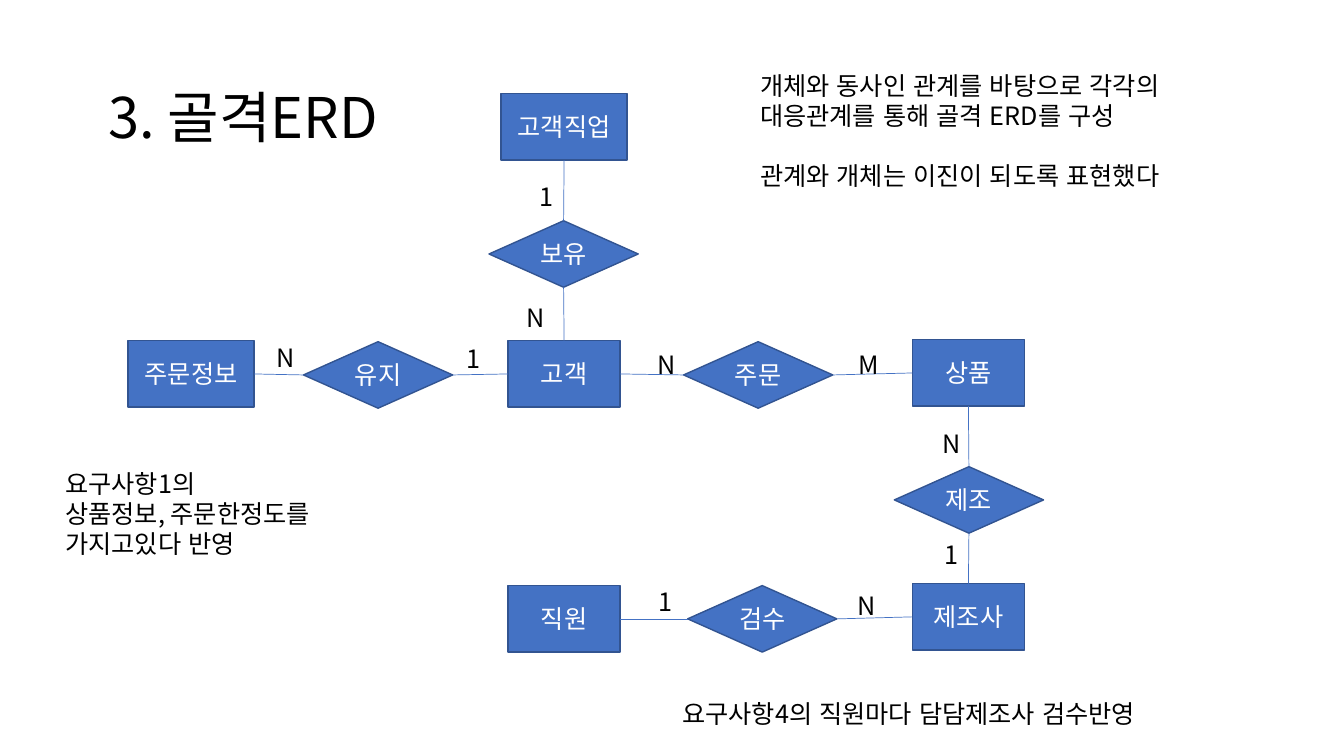
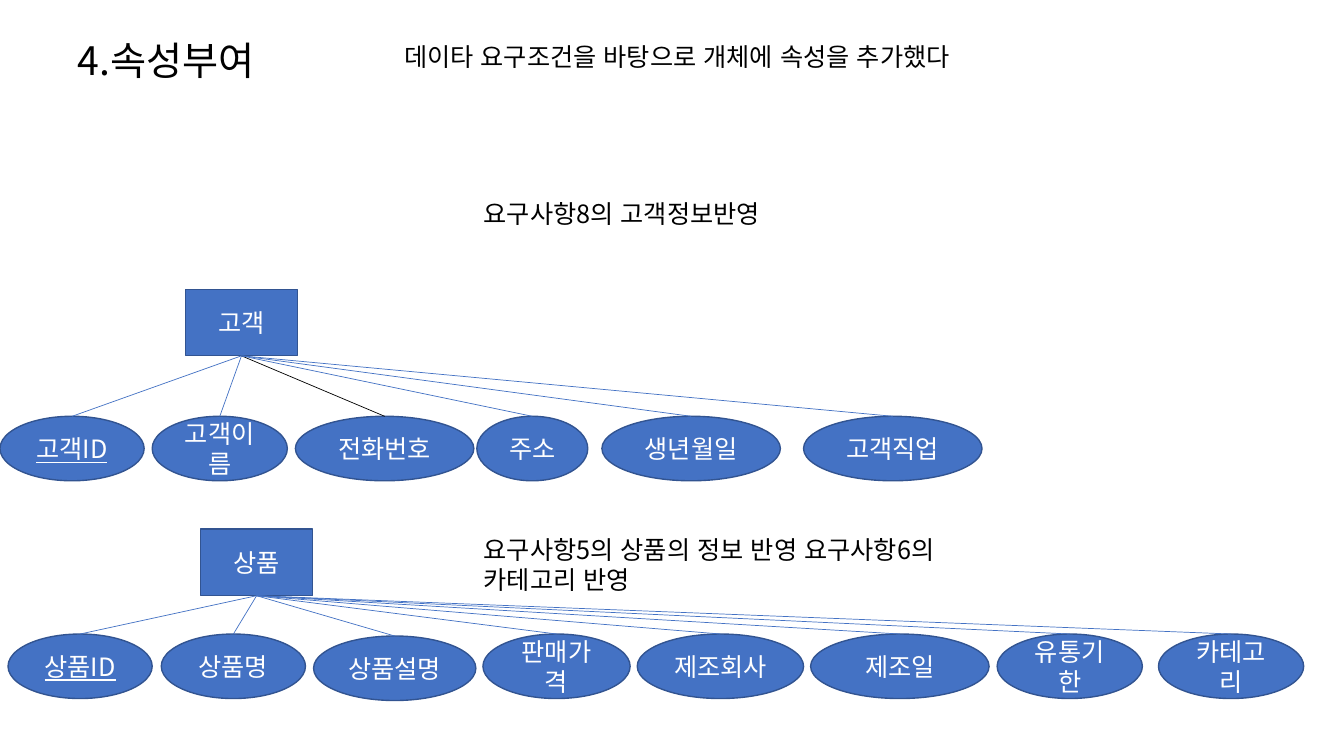
from dataclasses import dataclass
from typing import NamedTuple

from lxml.etree import SubElement
from pptx import Presentation
from pptx.dml.color import RGBColor
from pptx.enum.lang import MSO_LANGUAGE_ID
from pptx.enum.shapes import MSO_CONNECTOR, MSO_SHAPE
from pptx.enum.text import MSO_ANCHOR, PP_ALIGN
from pptx.oxml.ns import qn
from pptx.shapes.autoshape import Shape
from pptx.slide import Slide
from pptx.text.text import TextFrame
from pptx.util import Inches, Pt

# Shared look
COLORS = {"fill": "4472C4", "outline": "325491", "link": "4472C4",
          "black": "000000", "white": "FFFFFF"}
FONT = "Noto Sans CJK KR"
BODY_SIZE = 18
LINE_RATIO = 1.19
TITLE_RATIO = LINE_RATIO * 0.9
NODE_HEIGHT = 0.66
ELLIPSE_HEIGHT = 0.64
ENTITY_WIDTH, WIDE_ENTITY_WIDTH = 1.11, 1.25
RELATION_WIDTH = 1.48
LABEL_WIDTH, LABEL_HEIGHT = 0.43, 0.4
TOP, LEFT, BOTTOM, RIGHT = range(4)


@dataclass(frozen=True)
class Node:
    text: str
    left: float
    top: float
    width: float = ENTITY_WIDTH
    height: float = NODE_HEIGHT
    kind: MSO_SHAPE = MSO_SHAPE.RECTANGLE
    underline: bool = False


class Link(NamedTuple):
    start: str
    start_side: int
    end: str
    end_side: int


class Label(NamedTuple):
    text: str
    left: float
    top: float


class Note(NamedTuple):
    paragraphs: list[str]
    left: float
    top: float
    width: float
    height: float
    gap: float = 0


class Attribute(NamedTuple):
    text: str
    left: float
    width: float
    link_color: str = "link"
    drop: float = 0


def color(name: str) -> RGBColor:
    return RGBColor.from_string(COLORS[name])


def style_text(frame: TextFrame, color_name: str, size: float = BODY_SIZE,
               ratio: float = LINE_RATIO, underline: bool = False) -> None:
    frame.word_wrap = True
    for paragraph in frame.paragraphs:
        paragraph.line_spacing = Pt(round(size * ratio, 1))
        for run in paragraph.runs:
            font = run.font
            font.name = FONT
            font.size = Pt(size)
            font.color.rgb = color(color_name)
            font.language_id = MSO_LANGUAGE_ID.KOREAN
            if underline:
                font.underline = True
            east_asian = SubElement(font._element, qn("a:ea"))
            east_asian.set("typeface", FONT)


def add_text(slide: Slide, text: str, left: float, top: float,
             width: float, height: float) -> TextFrame:
    shape = slide.shapes.add_textbox(Inches(left), Inches(top),
                                     Inches(width), Inches(height))
    shape.text_frame.text = text
    return shape.text_frame


def add_title(slide: Slide, text: str, left: float, top: float,
              height: float, size: float) -> None:
    frame = add_text(slide, text, left, top, 10, height)
    frame.vertical_anchor = MSO_ANCHOR.BOTTOM
    style_text(frame, "black", size, TITLE_RATIO)


def add_note(slide: Slide, note: Note) -> None:
    frame = add_text(slide, "\n".join(note.paragraphs), note.left, note.top,
                     note.width, note.height)
    style_text(frame, "black")
    for paragraph in frame.paragraphs[1:]:
        paragraph.space_before = Pt(note.gap)


def add_label(slide: Slide, label: Label) -> None:
    frame = add_text(slide, label.text, label.left, label.top,
                     LABEL_WIDTH, LABEL_HEIGHT)
    style_text(frame, "black")


def add_node(slide: Slide, node: Node) -> Shape:
    shape = slide.shapes.add_shape(node.kind, Inches(node.left), Inches(node.top),
                                   Inches(node.width), Inches(node.height))
    shape.shadow.inherit = False
    shape.fill.solid()
    shape.fill.fore_color.rgb = color("fill")
    shape.line.color.rgb = color("outline")
    shape.line.width = Pt(1)
    frame = shape.text_frame
    frame.text = node.text
    frame.vertical_anchor = MSO_ANCHOR.MIDDLE
    frame.paragraphs[0].alignment = PP_ALIGN.CENTER
    style_text(frame, "white", underline=node.underline)
    return shape


def add_link(slide: Slide, start: Shape, start_side: int, end: Shape,
             end_side: int, color_name: str = "link") -> None:
    connector = slide.shapes.add_connector(MSO_CONNECTOR.STRAIGHT, 0, 0, 0, 0)
    connector.begin_connect(start, start_side)
    connector.end_connect(end, end_side)
    connector.line.color.rgb = color(color_name)
    connector.line.width = Pt(0.5)
    SubElement(connector._element.spPr, qn("a:effectLst"))


def relation(text: str, left: float, top: float) -> Node:
    return Node(text, left, top, RELATION_WIDTH, kind=MSO_SHAPE.FLOWCHART_DECISION)


def add_entity_tree(slide: Slide, entity: Node, top: float,
                    attributes: list[Attribute]) -> None:
    """Draw an entity above its row of attributes; the first one is the key."""
    parent = add_node(slide, entity)
    for index, attribute in enumerate(attributes):
        ellipse = add_node(slide, Node(
            attribute.text, attribute.left, top + attribute.drop, attribute.width,
            ELLIPSE_HEIGHT, MSO_SHAPE.OVAL, underline=index == 0))
        add_link(slide, parent, BOTTOM, ellipse, TOP, attribute.link_color)


def build_skeleton(slide: Slide) -> None:
    add_title(slide, "3. 골격ERD", 0.98, 0.65, 0.88, 40)

    # Entities and relations
    nodes = [
        Node("고객직업", 4.97, 0.93, WIDE_ENTITY_WIDTH),
        Node("주문정보", 1.27, 3.38, WIDE_ENTITY_WIDTH),
        Node("고객", 5.04, 3.38),
        Node("상품", 9.05, 3.37),
        Node("직원", 5.04, 5.81),
        Node("제조사", 9.05, 5.79),
        relation("보유", 4.85, 2.19),
        relation("유지", 3.01, 3.39),
        relation("주문", 6.78, 3.39),
        relation("제조", 8.87, 4.63),
        relation("검수", 6.82, 5.81),
    ]
    shapes = {node.text: add_node(slide, node) for node in nodes}

    # Links between them
    links = [
        Link("고객직업", BOTTOM, "보유", TOP),
        Link("보유", BOTTOM, "고객", TOP),
        Link("주문정보", RIGHT, "유지", LEFT),
        Link("유지", RIGHT, "고객", LEFT),
        Link("고객", RIGHT, "주문", LEFT),
        Link("주문", RIGHT, "상품", LEFT),
        Link("상품", BOTTOM, "제조", TOP),
        Link("제조", BOTTOM, "제조사", TOP),
        Link("직원", RIGHT, "검수", LEFT),
        Link("검수", RIGHT, "제조사", LEFT),
    ]
    for link in links:
        add_link(slide, shapes[link.start], link.start_side,
                 shapes[link.end], link.end_side)

    # Cardinalities
    for label in [
        Label("1", 5.25, 1.75), Label("N", 5.12, 2.95),
        Label("N", 2.64, 3.35), Label("1", 4.53, 3.36),
        Label("N", 6.42, 3.42), Label("M", 8.42, 3.42),
        Label("N", 9.25, 4.2), Label("1", 9.27, 5.3),
        Label("1", 6.43, 5.77), Label("N", 8.41, 5.81),
    ]:
        add_label(slide, label)

    # Notes
    for note in [
        Note(["개체와 동사인 관계를 바탕으로 각각의 대응관계를 통해 골격 ERD를 구성",
              "관계와 개체는 이진이 되도록 표현했다"],
             7.44, 0.65, 5.22, 1.62, BODY_SIZE * LINE_RATIO),
        Note(["요구사항1의", "상품정보, 주문한정도를 가지고있다 반영"],
             0.55, 4.6, 3.8, 1.01),
        Note(["요구사항4의 직원마다 담담제조사 검수반영"], 6.67, 6.88, 5.14, 0.4),
    ]:
        add_note(slide, note)


def build_attributes(slide: Slide) -> None:
    add_title(slide, "4.속성부여", 0.67, 0.36, 0.52, 28)

    # Customer
    add_entity_tree(slide, Node("고객", 1.84, 2.87), 4.13, [
        Attribute("고객ID", 0, 1.43),
        Attribute("고객이름", 1.51, 1.34),
        Attribute("전화번호", 2.93, 1.77, "black"),
        Attribute("주소", 4.73, 1.1),
        Attribute("생년월일", 5.97, 1.77),
        Attribute("고객직업", 7.97, 1.77),
    ])

    # Product
    add_entity_tree(slide, Node("상품", 1.99, 5.25), 6.29, [
        Attribute("상품ID", 0.08, 1.43),
        Attribute("상품명", 1.6, 1.43),
        Attribute("상품설명", 3.11, 1.61, drop=0.02),
        Attribute("판매가격", 4.79, 1.46),
        Attribute("제조회사", 6.32, 1.65),
        Attribute("제조일", 8.04, 1.77),
        Attribute("유통기한", 9.89, 1.44),
        Attribute("카테고리", 11.49, 1.44),
    ])

    # Notes
    for note in [
        Note(["데이타 요구조건을 바탕으로 개체에 속성을 추가했다"],
             3.91, 0.36, 8.42, 0.71),
        Note(["요구사항8의 고객정보반영"], 4.7, 1.92, 6.79, 0.4),
        Note(["요구사항5의 상품의 정보 반영 요구사항6의 카테고리 반영"],
             4.7, 5.25, 5.19, 0.71),
    ]:
        add_note(slide, note)


presentation = Presentation()
presentation.slide_width = Inches(13.33)
presentation.slide_height = Inches(7.5)
for build in (build_skeleton, build_attributes):
    build(presentation.slides.add_slide(presentation.slide_layouts[6]))
presentation.save("out.pptx")
